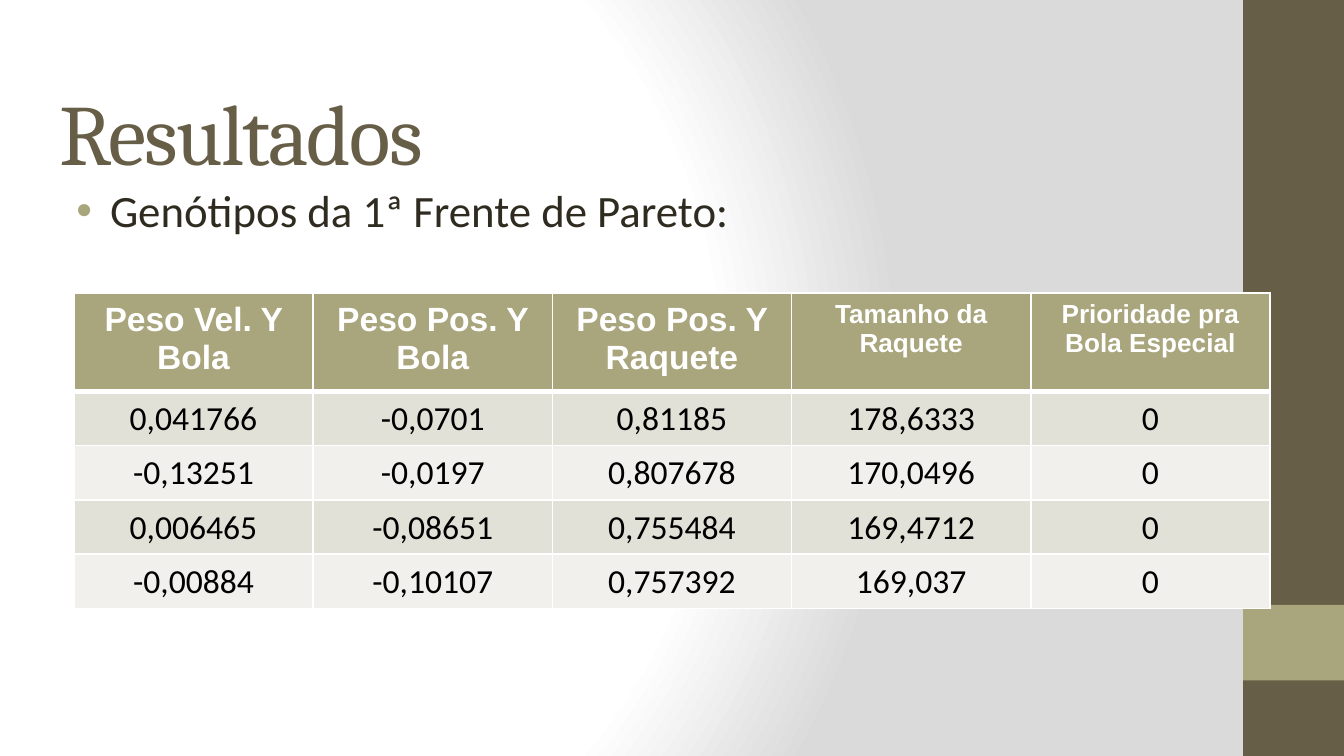
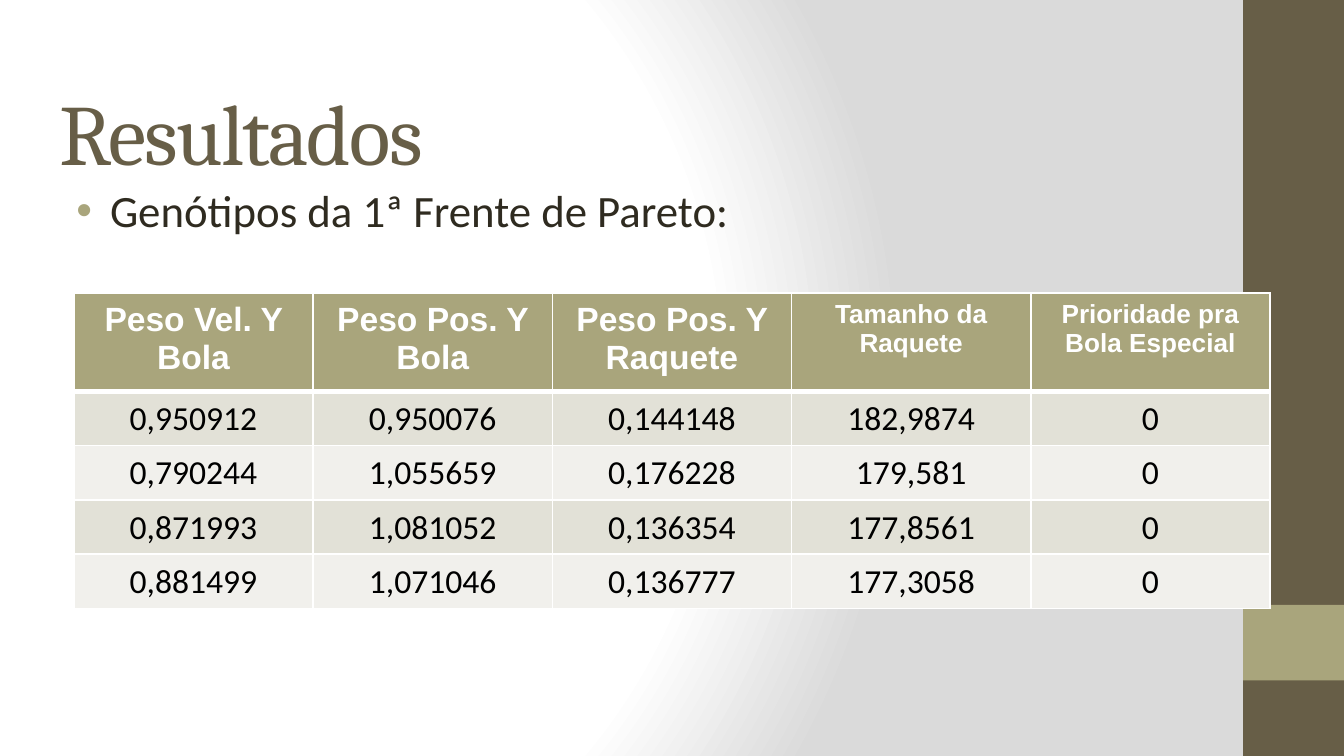
from dataclasses import dataclass

from lxml import etree
from pptx import Presentation
from pptx import oxml
from pptx import util as u
from pptx.dml.color import RGBColor
from pptx.enum import shapes, text
from pptx.oxml import ns
from pptx.slide import Slide, SlideLayout


@dataclass(frozen=True)
class Theme:
    brown: str = "675E47"
    olive: str = "A9A57C"
    ink: str = "2F2B20"
    white: str = "FFFFFF"
    black: str = "000000"
    glow: str = "DADADA"
    stripes: tuple[str, str] = ("E2E1D7", "F1F0EC")
    title_font: str = "Cambria"
    body_font: str = "Calibri"
    header_font: str = "Arial"
    title_size: int = 46
    body_size: int = 24
    cell_size: int = 18
    small_size: int = 14


@dataclass(frozen=True)
class Box:
    left: float
    top: float
    width: float
    height: float

    def lengths(self) -> list[u.Length]:
        return [u.Inches(n) for n in (self.left, self.top, self.width, self.height)]


@dataclass(frozen=True)
class Band:
    box: Box
    color: str


@dataclass(frozen=True)
class Header:
    label: str
    size: int
    margins: tuple[float, float, float, float]


@dataclass(frozen=True)
class Result:
    title: str
    lead: str
    rows: list[list[str]]


THEME = Theme()
PAGE = Box(0, 0, 10, 10 * 9 / 16)
TITLE = Box(0.34, 0.49, 9.32, 0.63)
LEAD = Box(0.34, 1.26, 9.32, 3.74)
GENOTYPES = Box(0.55, 2.18, 8.9, 2.35)
HEADER_HEIGHT = 0.73
TEXT_MARGINS = (0.1, 0.1, 0.1, 0.1)
WIDE_MARGINS = (0.13, 0.06, 0.13, 0.06)
SMALL_MARGINS = (0.1, 0.05, 0.1, 0.05)
VALUE_MARGINS = (0.01, 0.01, 0.01, 0)

BANDS = [
    Band(Box(9.25, 0, 0.75, PAGE.height), THEME.brown),
    Band(Box(9.25, 4.5, 0.75, PAGE.height / 10), THEME.olive),
]

HEADERS = [
    Header("Peso Vel. Y Bola", THEME.cell_size, WIDE_MARGINS),
    Header("Peso Pos. Y Bola", THEME.cell_size, WIDE_MARGINS),
    Header("Peso Pos. Y Raquete", THEME.cell_size, WIDE_MARGINS),
    Header("Tamanho da Raquete", THEME.small_size, SMALL_MARGINS),
    Header("Prioridade pra Bola Especial", THEME.small_size, SMALL_MARGINS),
]

HEADING = "Resultados"
PARETO = "Genótipos da 1ª Frente de Pareto:"
RESULTS = [
    Result(HEADING, PARETO, [
        ["0,041766", "-0,0701", "0,81185", "178,6333", "0"],
        ["-0,13251", "-0,0197", "0,807678", "170,0496", "0"],
        ["0,006465", "-0,08651", "0,755484", "169,4712", "0"],
        ["-0,00884", "-0,10107", "0,757392", "169,037", "0"],
    ]),
    Result(HEADING, PARETO, [
        ["0,950912", "0,950076", "0,144148", "182,9874", "0"],
        ["0,790244", "1,055659", "0,176228", "179,581", "0"],
        ["0,871993", "1,081052", "0,136354", "177,8561", "0"],
        ["0,881499", "1,071046", "0,136777", "177,3058", "0"],
    ]),
]


def set_margins(holder, margins: tuple[float, float, float, float]) -> None:
    """Set left, top, right and bottom margins of a cell or text frame."""
    (holder.margin_left, holder.margin_top,
     holder.margin_right, holder.margin_bottom) = map(u.Inches, margins)


def set_font(paragraph, name: str, size: int, color: str, bold: bool = False) -> None:
    font = paragraph.font
    font.name, font.size, font.bold = name, u.Pt(size), bold
    font.color.rgb = RGBColor.from_string(color)


# Shared layout: glow background and side bands
def set_background(layout: SlideLayout) -> None:
    stops = "".join(
        f'<a:gs pos="{pos * 1000}"><a:srgbClr val="{color}"/></a:gs>'
        for pos, color in ((0, THEME.white), (75, THEME.white), (100, THEME.glow)))
    layout.element.cSld.insert(0, oxml.parse_xml(
        f'<p:bg {ns.nsdecls("p", "a")}><p:bgPr><a:gradFill rotWithShape="1">'
        f'<a:gsLst>{stops}</a:gsLst><a:path path="circle">'
        '<a:fillToRect l="20000" t="50000" r="100000" b="50000"/></a:path>'
        '</a:gradFill><a:effectLst/></p:bgPr></p:bg>'))


def add_bands(slide: Slide, layout: SlideLayout) -> None:
    """Draw the bands and move them behind everything on the layout."""
    for depth, band in enumerate(BANDS, start=2):
        strip = slide.shapes.add_shape(shapes.MSO_SHAPE.RECTANGLE, *band.box.lengths())
        strip.fill.solid()
        strip.fill.fore_color.rgb = RGBColor.from_string(band.color)
        strip.line.fill.background()
        strip.shadow.inherit = False
        layout.shapes.element.insert(depth, strip.element)


def clear_footers(layout: SlideLayout) -> None:
    for holder in list(layout.placeholders):
        if holder.placeholder_format.type != shapes.PP_PLACEHOLDER.TITLE:
            layout.shapes.element.remove(holder.element)


# Slide parts
def set_title(slide: Slide, words: str) -> None:
    title = slide.shapes.title
    title.left, title.top, title.width, title.height = TITLE.lengths()
    frame = title.text_frame
    frame.text = words
    frame.word_wrap = True
    frame.auto_size = text.MSO_AUTO_SIZE.NONE
    frame.vertical_anchor = text.MSO_ANCHOR.TOP
    set_margins(frame, TEXT_MARGINS)
    paragraph = frame.paragraphs[0]
    paragraph.alignment = text.PP_ALIGN.LEFT
    set_font(paragraph, THEME.title_font, THEME.title_size, THEME.brown)
    paragraph.runs[0].font._element.set("spc", "-100")


def add_lead(slide: Slide, words: str) -> None:
    frame = slide.shapes.add_textbox(*LEAD.lengths()).text_frame
    frame.word_wrap = True
    set_margins(frame, TEXT_MARGINS)
    paragraph = frame.paragraphs[0]
    paragraph.text = words
    paragraph.alignment = text.PP_ALIGN.JUSTIFY
    props = paragraph._p.get_or_add_pPr()
    props.set("marL", str(u.Inches(0.38)))
    props.set("indent", str(u.Inches(-0.25)))
    color = etree.SubElement(props, ns.qn("a:buClr"))
    etree.SubElement(color, ns.qn("a:srgbClr"), val=THEME.olive)
    etree.SubElement(props, ns.qn("a:buFont"), typeface="Arial")
    etree.SubElement(props, ns.qn("a:buChar"), char="•")
    set_font(paragraph, THEME.body_font, THEME.body_size, THEME.ink)


def fill_cell(cell, words: str, fill: str, margins: tuple[float, float, float, float]):
    """Fill a cell and return its centred paragraph."""
    cell.text = words
    cell.fill.solid()
    cell.fill.fore_color.rgb = RGBColor.from_string(fill)
    set_margins(cell, margins)
    paragraph = cell.text_frame.paragraphs[0]
    paragraph.alignment = text.PP_ALIGN.CENTER
    return paragraph


def set_borders(cell, top: int, bottom: int) -> None:
    props = cell._tc.get_or_add_tcPr()
    for place, (side, width) in enumerate(zip("LRTB", (1, 1, top, bottom))):
        props.insert(place, oxml.parse_xml(
            f'<a:ln{side} {ns.nsdecls("a")} w="{u.Pt(width)}"><a:solidFill>'
            f'<a:srgbClr val="{THEME.white}"/></a:solidFill></a:ln{side}>'))


def add_genotypes(slide: Slide, rows: list[list[str]]) -> None:
    table = slide.shapes.add_table(
        len(rows) + 1, len(HEADERS), *GENOTYPES.lengths()).table
    table.horz_banding = False
    for column in table.columns:
        column.width = u.Inches(GENOTYPES.width / len(HEADERS))
    for row in table.rows:
        row.height = u.Inches((GENOTYPES.height - HEADER_HEIGHT) / len(rows))
    table.rows[0].height = u.Inches(HEADER_HEIGHT)

    for col, header in enumerate(HEADERS):
        cell = table.cell(0, col)
        paragraph = fill_cell(cell, header.label, THEME.olive, header.margins)
        set_font(paragraph, THEME.header_font, header.size, THEME.white, bold=True)
        set_borders(cell, top=1, bottom=3)

    for index, values in enumerate(rows):
        for col, value in enumerate(values):
            cell = table.cell(index + 1, col)
            paragraph = fill_cell(cell, value, THEME.stripes[index % 2], VALUE_MARGINS)
            set_font(paragraph, THEME.body_font, THEME.cell_size, THEME.black)
            cell.vertical_anchor = text.MSO_ANCHOR.MIDDLE
            set_borders(cell, top=3 if index == 0 else 1, bottom=1)


def main() -> None:
    deck = Presentation()
    deck.slide_width, deck.slide_height = u.Inches(PAGE.width), u.Inches(PAGE.height)
    layout = deck.slide_layouts.get_by_name("Title Only")
    clear_footers(layout)
    set_background(layout)
    slides = [deck.slides.add_slide(layout) for _ in RESULTS]
    add_bands(slides[0], layout)
    for slide, result in zip(slides, RESULTS):
        set_title(slide, result.title)
        add_lead(slide, result.lead)
        add_genotypes(slide, result.rows)
    deck.save("out.pptx")


if __name__ == "__main__":
    main()
